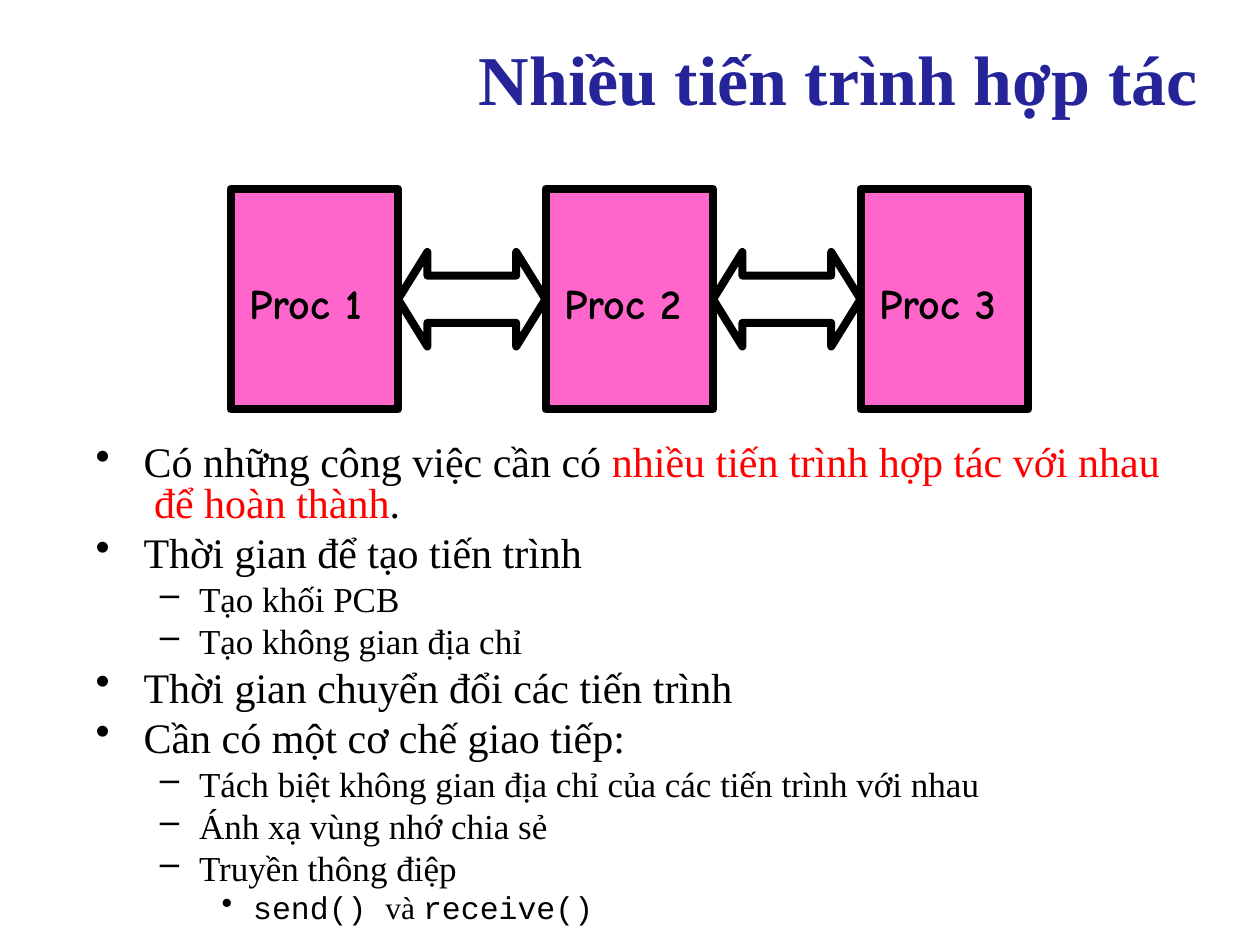
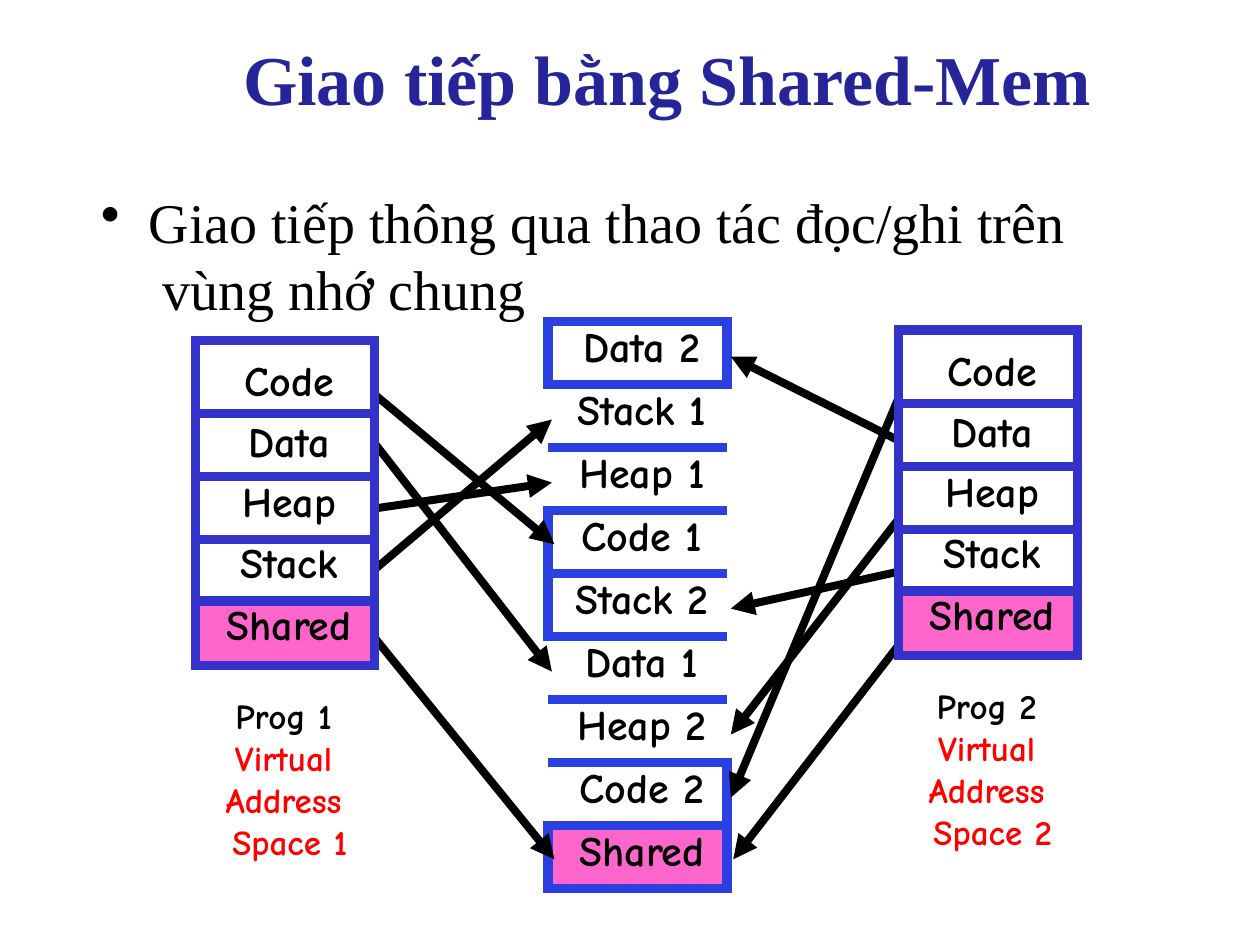
import pptx
import pptx.dml.color
import pptx.enum.shapes
import pptx.enum.text
import pptx.oxml.ns
import pptx.util
from lxml import etree
from pptx.util import Inches, Pt

COLORS = {"title": "252599", "text": "000000", "accent": "FF0000", "pink": "FF66CC",
          "white": "FFFFFF", "program": "3333CC", "memory": "2A40E1"}
SERIF, COMIC, MONO = "Times New Roman", "Comic Neue", "Courier New"
HEAVY_LINE = 4.56
BORDER = 6
CENTER = pptx.enum.text.PP_ALIGN.CENTER
MIDDLE = pptx.enum.text.MSO_ANCHOR.MIDDLE

# Content: cooperating processes
PROCESSES = ["Proc 1", "Proc 2", "Proc 3"]
# Bullet levels: left margin, hanging indent, mark, text size
LEVELS = [(0.39, -0.38, "•", 24), (0.83, -0.31, "–", 20), (1.26, -0.25, "•", 18)]
# Level, space before, line spacing in points, runs with their differences
COOPERATION = [
    (0, 6.6, 23, [("Có những công việc cần có ", {}),
                  ("nhiều tiến trình hợp tác với nhau\n để hoàn thành", {"color": "accent"}),
                  (".", {})]),
    (0, 0.2, None, [("Thời gian để tạo tiến trình", {})]),
    (1, 0.1, None, [("Tạo khối PCB", {})]),
    (1, 0, 23.9, [("Tạo không gian địa chỉ", {})]),
    (0, 0, 28.7, [("Thời gian chuyển đổi các tiến trình", {})]),
    (0, 0.1, None, [("Cần có một cơ chế giao tiếp:", {})]),
    (1, 0.1, None, [("Tách biệt không gian địa chỉ của các tiến trình với nhau", {})]),
    (1, 0, None, [("Ánh xạ vùng nhớ chia sẻ", {})]),
    (1, 0, 24, [("Truyền thông điệp", {})]),
    (2, 0, 21.6, [("send() ", {"font": MONO}), ("và ", {}), ("receive()", {"font": MONO})]),
]

# Content: shared memory
SHARING = [(0, 1.1, None, [("Giao tiếp thông qua thao tác đọc/ghi trên\n vùng nhớ chung",
                            {"size": 32})])]
# Segment, row height, top margin, space before, line spacing
SEGMENTS = [("Code", 0.58, 0.15, 10.9, None), ("Data", 0.5, 0.05, 3.5, None),
            ("Heap", 0.5, 0.03, 2, None), ("Stack", 0.49, 0.01, 0.6, None),
            ("Shared", 0.51, 0, 0, 28.6)]
# Memory block and its bordered sides
MEMORY = [("Data 2", "LRTB"), ("Stack 1", "TB"), ("Heap 1", "TB"), ("Code 1", "LTB"),
          ("Stack 2", "LTB"), ("Data 1", "TB"), ("Heap 2", "TB"), ("Code 2", "RTB"),
          ("Shared", "LRTB")]
# Number, address space position, caption position
PROGRAMS = [(1, (1.55, 2.7), (1.74, 5.5)), (2, (7.13, 2.62), (7.32, 5.42))]
# Segment to memory block: start, tip
MAPPINGS = [((2.72, 2.92), (4.4, 4.32)), ((2.82, 3.32), (4.38, 5.33)),
            ((2.74, 4.07), (4.38, 3.83)), ((2.82, 4.65), (4.38, 3.33)),
            ((7.24, 2.9), (5.8, 6.33)), ((7.3, 3.58), (5.8, 2.83)),
            ((7.24, 3.98), (5.8, 5.83)), ((7.3, 4.5), (5.8, 4.83)),
            ((2.98, 5.07), (4.4, 6.82)), ((7.24, 4.98), (5.82, 6.82))]


def rgb(name):
    return pptx.dml.color.RGBColor.from_string(COLORS[name])


def add_xml(parent, tag, **attributes):
    return etree.SubElement(parent, pptx.oxml.ns.qn(tag), attributes)


# Text helpers
def add_run(paragraph, text, size, font=SERIF, color="text", bold=False):
    for number, line in enumerate(text.split("\n")):
        if number:
            paragraph.add_line_break()
        run = paragraph.add_run()
        run.text = line
        run.font.size, run.font.name, run.font.bold = Pt(size), font, bold
        run.font.color.rgb = rgb(color)


def set_spacing(paragraph, before, line=None):
    paragraph.space_before = Pt(before)
    if line:
        paragraph.line_spacing = Pt(line)


def set_margins(holder, left=0, top=0):
    holder.margin_left, holder.margin_top = Inches(left), Inches(top)
    holder.margin_right = holder.margin_bottom = 0


def add_text_frame(slide, place, top=0.01):
    frame = slide.shapes.add_textbox(*map(Inches, place)).text_frame
    frame.word_wrap = True
    set_margins(frame, top=top)
    return frame


def add_title(slide, text, left, width):
    paragraph = add_text_frame(slide, (left, 0.27, width, 0.69)).paragraphs[0]
    set_spacing(paragraph, 0.9)
    add_run(paragraph, text, 40, color="title", bold=True)


def add_bullets(slide, place, items, top=0.01):
    frame = add_text_frame(slide, place, top)
    for number, (level, before, line, runs) in enumerate(items):
        paragraph = frame.add_paragraph() if number else frame.paragraphs[0]
        margin, indent, mark, size = LEVELS[level]
        paragraph.level = level
        set_spacing(paragraph, before, line)
        properties = paragraph._p.get_or_add_pPr()
        properties.set("marL", str(Inches(margin)))
        properties.set("indent", str(Inches(indent)))
        add_xml(properties, "a:buChar", char=mark)
        for text, changes in runs:
            add_run(paragraph, text, **{"size": size, **changes})


# Drawing helpers
def add_figure(slide, kind, place, fill):
    figure = slide.shapes.add_shape(kind, *map(Inches, place))
    figure.shadow.inherit = False
    figure.fill.solid()
    figure.fill.fore_color.rgb = rgb(fill)
    figure.line.color.rgb = rgb("text")
    figure.line.width = Pt(HEAVY_LINE)
    return figure


def add_arrow(slide, start, tip):
    arrow = slide.shapes.add_connector(pptx.enum.shapes.MSO_CONNECTOR.STRAIGHT,
                                       *map(Inches, start + tip))
    arrow.line.color.rgb = rgb("text")
    arrow.line.width = Pt(HEAVY_LINE)
    properties = arrow._element.spPr
    add_xml(properties.find(pptx.oxml.ns.qn("a:ln")), "a:tailEnd", type="triangle")
    add_xml(properties, "a:effectLst")


def fill_cell(cell, text, sides, border, top, before, line=None):
    properties = cell._tc.get_or_add_tcPr()
    for side in "LRTB":
        edge = add_xml(properties, "a:ln" + side, w=str(Pt(BORDER)))
        if side in sides:
            add_xml(add_xml(edge, "a:solidFill"), "a:srgbClr", val=COLORS[border])
        else:
            add_xml(edge, "a:noFill")
    cell.fill.solid()
    cell.fill.fore_color.rgb = rgb("pink" if text == "Shared" else "white")
    set_margins(cell, left=0.07, top=top)
    paragraph = cell.text_frame.paragraphs[0]
    paragraph.alignment = CENTER
    set_spacing(paragraph, before, line)
    add_run(paragraph, text, 24, COMIC, bold=True)


def add_stack(slide, position, rows, border):
    heights = [height for height, _ in rows]
    place = (*position, 1.42, sum(heights))
    table = slide.shapes.add_table(len(rows), 1, *map(Inches, place)).table
    table.first_row = table.horz_banding = False
    for number, (height, content) in enumerate(rows):
        table.rows[number].height = Inches(height)
        text, sides, *spacing = content
        fill_cell(table.cell(number, 0), text, sides, border, *spacing)


def build_cooperation(slide):
    add_bullets(slide, (0.75, 3.45, 8.6, 3.92), COOPERATION, top=0.09)
    # Processes joined by double arrows
    left, width, pitch = 1.83, 1.33, 2.5
    for number, process in enumerate(PROCESSES):
        box = add_figure(slide, pptx.enum.shapes.MSO_SHAPE.RECTANGLE,
                         (left + number * pitch, 1.5, width, 1.75), "pink")
        frame = box.text_frame
        set_margins(frame, left=0.15, top=0.06)
        frame.vertical_anchor = MIDDLE
        frame.paragraphs[0].alignment = pptx.enum.text.PP_ALIGN.LEFT
        add_run(frame.paragraphs[0], process, 24, COMIC, bold=True)
    for number in range(len(PROCESSES) - 1):
        link = add_figure(slide, pptx.enum.shapes.MSO_SHAPE.LEFT_RIGHT_ARROW,
                          (left + width + number * pitch, 2, pitch - width, 0.75), "white")
        link.adjustments[0], link.adjustments[1] = 0.5, 0.31
    add_title(slide, "Nhiều tiến trình hợp tác", 3.8, 5.9)


def build_sharing(slide):
    add_bullets(slide, (0.79, 1.48, 7.9, 1.1), SHARING)
    # Captions
    for number, _, position in PROGRAMS:
        paragraph = add_text_frame(slide, (*position, 1.12, 1.36)).paragraphs[0]
        paragraph.alignment = CENTER
        set_spacing(paragraph, 1)
        add_run(paragraph, f"Prog {number} \n", 20, COMIC, bold=True)
        add_run(paragraph, f"Virtual \nAddress \nSpace {number}", 20, COMIC, "accent", True)
    # Physical memory, mappings, then address spaces on top
    add_stack(slide, (4.35, 2.55),
              [(0.5, (block, sides, 0.03, 2.5)) for block, sides in MEMORY], "memory")
    for start, tip in MAPPINGS:
        add_arrow(slide, start, tip)
    segments = [(height, (name, "LRTB", *spacing)) for name, height, *spacing in SEGMENTS]
    for _, position, _ in PROGRAMS:
        add_stack(slide, position, segments, "program")
    add_title(slide, "Giao tiếp bằng Shared-Mem", 1.93, 6.9)


def main():
    deck = pptx.Presentation()
    deck.slide_width, deck.slide_height = Inches(10), Inches(7.5)
    for build in (build_cooperation, build_sharing):
        build(deck.slides.add_slide(deck.slide_layouts[6]))
    deck.save("out.pptx")


if __name__ == "__main__":
    main()
